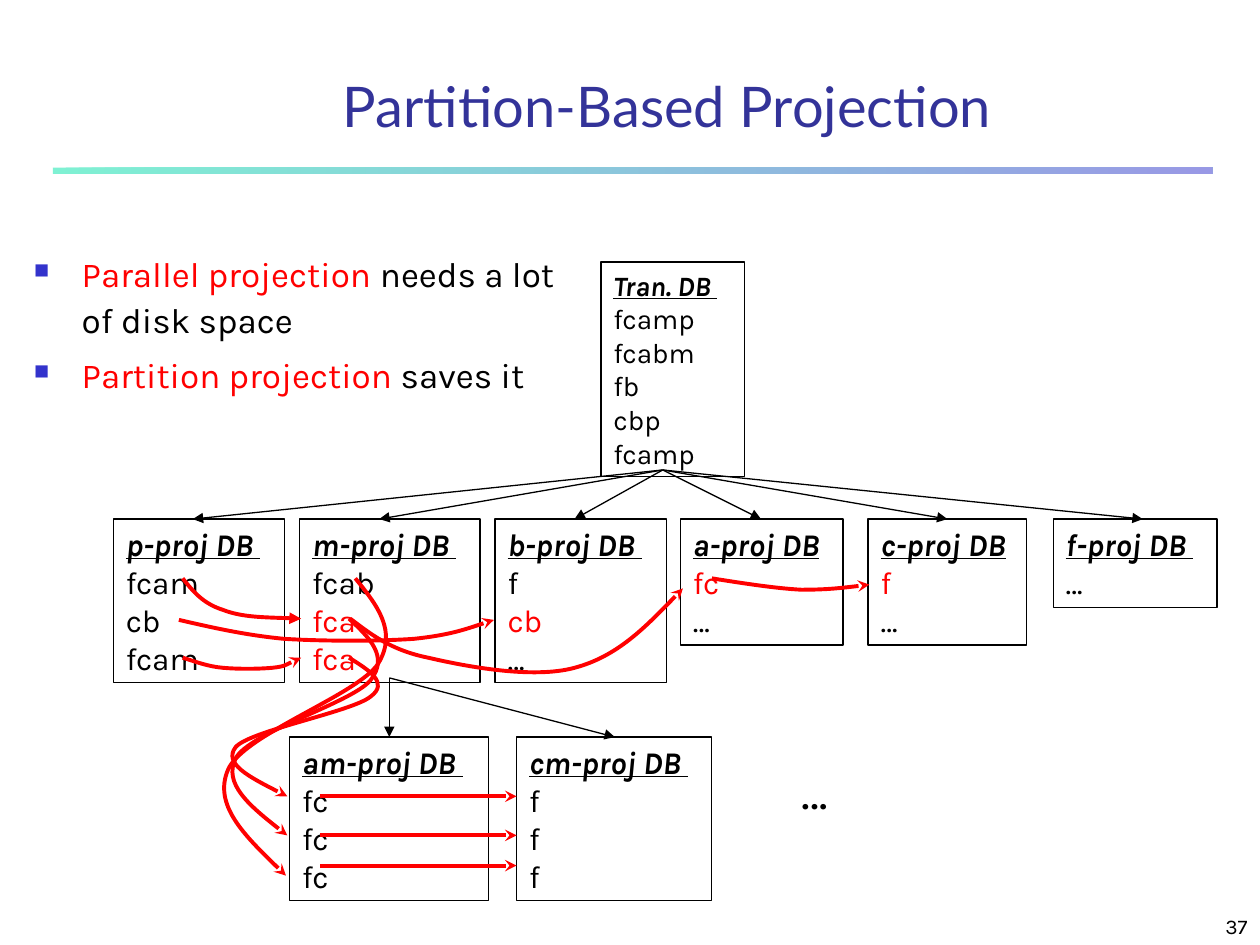
from lxml import etree
from pptx import Presentation
from pptx.dml.color import RGBColor
from pptx.enum.shapes import MSO_CONNECTOR, MSO_SHAPE
from pptx.enum.text import MSO_ANCHOR, MSO_AUTO_SIZE, PP_ALIGN
from pptx.oxml.ns import qn
from pptx.util import Inches, Pt

RECT = MSO_SHAPE.RECTANGLE
STRAIGHT = MSO_CONNECTOR.STRAIGHT
TOP, MIDDLE, BOTTOM = MSO_ANCHOR.TOP, MSO_ANCHOR.MIDDLE, MSO_ANCHOR.BOTTOM
LEFT, CENTER, RIGHT = PP_ALIGN.LEFT, PP_ALIGN.CENTER, PP_ALIGN.RIGHT
GROW = MSO_AUTO_SIZE.SHAPE_TO_FIT_TEXT
BLACK, RED, BLUE = "000000", "FF0000", "3333CC"
THIN, THICK = 0.74, 2.24


def tint(color, code):
    """Set a colour from a hex string."""
    color.rgb = RGBColor.from_string(code)


def add_run(para, text, size, code=BLACK, font="Karla", head=False):
    """Add one run; a head run is bold, italic and underlined."""
    run = para.add_run()
    run.text = text
    run.font.name, run.font.size = font, Pt(size)
    run.font.bold = run.font.italic = run.font.underline = head
    tint(run.font.color, code)


def add_text(slide, box, text, size, code=BLACK, font="Karla",
             align=LEFT, anchor=TOP, wrap=True):
    """Add a text box with one line."""
    frame = slide.shapes.add_textbox(*map(Inches, box)).text_frame
    frame.word_wrap, frame.vertical_anchor = wrap, anchor
    para = frame.paragraphs[0]
    para.alignment = align
    add_run(para, text, size, code, font)


def style_line(line, code, width, tip=None):
    """Set colour, width and arrowhead of a line."""
    tint(line.color, code)
    line.width = Pt(width)
    if tip:
        etree.SubElement(line._get_or_add_ln(), qn("a:tailEnd"), type=tip)


def arrow(slide, start, end, code=BLACK, width=THIN, tip="triangle"):
    """Draw a straight arrow."""
    link = slide.shapes.add_connector(STRAIGHT, *map(Inches, start + end))
    style_line(link.line, code, width, tip)
    etree.SubElement(link._element.spPr, qn("a:effectLst"))


def curve(slide, left, top, points, tip="stealth"):
    """Draw a red Bezier arrow: a start point, then three points a segment."""
    spots = [(Inches(left + x), Inches(top + y)) for x, y in points]
    form = slide.shapes.build_freeform(*spots[0], scale=1.0)
    form.add_line_segments(spots[1:], close=False)
    shape = form.convert_to_shape()
    route = next(shape._element.iter(qn("a:path")))
    steps = route.findall(qn("a:lnTo"))
    for i in range(0, len(steps), 3):
        bend = etree.SubElement(route, qn("a:cubicBezTo"))
        for step in steps[i:i + 3]:
            bend.append(step[0])
            route.remove(step)
    shape.fill.background()
    style_line(shape.line, RED, THICK, tip)
    shape.shadow.inherit = False


def data_box(slide, box, name, rows, size=18):
    """Draw a framed database; a row that starts with * is red."""
    shape = slide.shapes.add_shape(RECT, *map(Inches, box))
    shape.shadow.inherit = False
    shape.fill.background()
    style_line(shape.line, BLACK, THIN)
    frame = shape.text_frame
    frame.word_wrap, frame.auto_size = False, GROW
    frame.vertical_anchor = TOP
    for i, row in enumerate([name] + rows):
        para = frame.add_paragraph() if i else frame.paragraphs[0]
        para.alignment = LEFT
        code = RED if row.startswith("*") else BLACK
        add_run(para, row.lstrip("*"), size, code, head=i == 0)


def header(slide, box):
    """Place the title and the fading rule below it."""
    left, top, width, height = box
    bar = slide.shapes.add_shape(
        RECT, *map(Inches, (left, top + height - 0.05, width, 0.05)))
    bar.shadow.inherit = False
    bar.line.fill.background()
    bar.fill.gradient()
    bar.fill.gradient_angle = 0
    for stop, code in zip(bar.fill.gradient_stops, ("00E4A8", BLUE)):
        tint(stop.color, code)
    for color in bar._element.spPr.iter(qn("a:srgbClr")):
        etree.SubElement(color, qn("a:alpha"), val="50000")
    add_text(slide, (left + 0.58, top, 8.59, 0.67),
             "Partition-Based Projection", 32, "333399", "Lato", CENTER, MIDDLE)


def bullets(slide, box, items):
    """Place the bullet list; each item is a red part and a black part."""
    frame = slide.shapes.add_textbox(*map(Inches, box)).text_frame
    frame.word_wrap = True
    for i, (key, rest) in enumerate(items):
        para = frame.add_paragraph() if i else frame.paragraphs[0]
        para.line_spacing, para.space_before = 1.1, Pt(5)
        props = para._p.get_or_add_pPr()
        props.set("marL", str(Inches(0.38)))
        props.set("indent", str(-Inches(0.38)))
        color = etree.SubElement(props, qn("a:buClr"))
        etree.SubElement(color, qn("a:srgbClr"), val=BLUE)
        etree.SubElement(props, qn("a:buSzPct"), val="60000")
        etree.SubElement(props, qn("a:buChar"), char="■")
        add_run(para, key, 20, RED)
        add_run(para, rest, 20)


def first_level(slide, box):
    """Place the six projected databases, the fan of arrows and the flows."""
    left, top = box[:2]
    bases = [
        (0, 1.36, 0.63, "p-proj DB ", ["fcam", "cb", "fcam"]),
        (1.48, 1.43, 2.11, "m-proj DB ", ["fcab", "*fca", "*fca"]),
        (3.03, 1.36, 3.66, "b-proj DB ", ["f", "*cb", "…"]),
        (4.5, 1.29, 5.14, "a-proj DB", ["*fc", "…"]),
        (5.99, 1.26, 6.62, "c-proj DB", ["*f", "…"]),
        (7.46, 1.3, 8.17, "f-proj DB ", ["…"]),
    ]
    for x, width, tip, name, rows in bases:
        high = 0.1 + 0.3 * (len(rows) + 1)
        data_box(slide, (left + x, top, width, high), name, rows)
        arrow(slide, (left + 4.36, top - 0.39), (left + tip, top))
    curve(slide, left, top, [
        (0.55, 0.47), (0.63, 0.57), (0.71, 0.67), (0.87, 0.72),
        (1.02, 0.78), (1.26, 0.78), (1.49, 0.79)], "triangle")
    flows = [
        [(1.88, 0.79), (2.04, 0.91), (2.2, 1.04), (2.5, 1.1), (2.8, 1.17),
         (3.33, 1.27), (3.66, 1.18), (4, 1.09), (4.26, 0.82), (4.52, 0.55)],
        [(4.75, 0.47), (5, 0.51), (5.26, 0.55), (5.46, 0.56),
         (5.67, 0.56), (5.83, 0.54), (6, 0.52)],
        [(0.55, 1.1), (0.65, 1.13), (0.75, 1.17), (0.87, 1.18), (0.98, 1.19),
         (1.15, 1.19), (1.26, 1.18), (1.36, 1.17), (1.42, 1.13), (1.49, 1.1)],
        [(0.52, 0.8), (0.78, 0.86), (1.04, 0.92), (1.35, 0.95), (1.66, 0.97),
         (2.11, 0.97), (2.39, 0.95), (2.67, 0.92), (2.84, 0.86), (3.02, 0.8)],
    ]
    for points in flows:
        curve(slide, left, top, points)


def second_level(slide, box):
    """Place the two databases below m-proj, with their arrows and flows."""
    left, top = box[:2]
    bases = [(0, 1.58, 0.79, "am-proj DB ", "fc"),
             (1.8, 1.55, 2.58, "cm-proj DB ", "f")]
    for x, width, tip, name, row in bases:
        data_box(slide, (left + x, top, width, 1.3), name, [row] * 3)
        arrow(slide, (left + 0.79, top - 0.47), (left + tip, top))
    flows = [
        [(0.47, -0.63), (0.63, -0.53), (0.79, -0.43), (0.64, -0.32),
         (0.49, -0.2), (-0.32, -0.05), (-0.43, 0.08),
         (-0.53, 0.21), (-0.28, 0.34), (-0.02, 0.47)],
        [(0.47, -0.94), (0.63, -0.79), (0.79, -0.64), (0.64, -0.45),
         (0.49, -0.27), (-0.32, -0.04), (-0.43, 0.17),
         (-0.53, 0.37), (-0.28, 0.58), (-0.02, 0.78)],
        [(0.52, -1.26), (0.69, -1.05), (0.86, -0.84), (0.7, -0.58),
         (0.53, -0.33), (-0.37, -0.02), (-0.49, 0.26),
         (-0.61, 0.54), (-0.32, 0.82), (-0.03, 1.1)],
    ]
    for points in flows:
        curve(slide, left, top, points)
    for y in (0.47, 0.78, 1.02):
        arrow(slide, (left + 0.24, top + y), (left + 1.8, top + y),
              RED, THICK, "stealth")
    add_text(slide, (left + 3.96, top + 0.14, 0.5, 0.57), "…", 28, wrap=False)


deck = Presentation()
deck.slide_width, deck.slide_height = Inches(10), Inches(7.5)
slide = deck.slides.add_slide(deck.slide_layouts[6])
header(slide, (0.42, 0.5, 9.2, 0.88))
bullets(slide, (0.17, 1.92, 4.5, 1.5), [
    ("Parallel projection ", "needs a lot of disk space "),
    ("Partition projection ", "saves it")])
data_box(slide, (4.77, 2.08, 1.14, 1.7), "Tran. DB ",
         ["fcamp", "fcabm", "fb", "cbp", "fcamp"], 16)
first_level(slide, (0.9, 4.12, 8.76, 1.3))
second_level(slide, (2.3, 5.85, 4.46, 1.3))
add_text(slide, (7.92, 7.08, 2.08, 0.42), "37", 12, align=RIGHT, anchor=BOTTOM)
deck.save("out.pptx")
